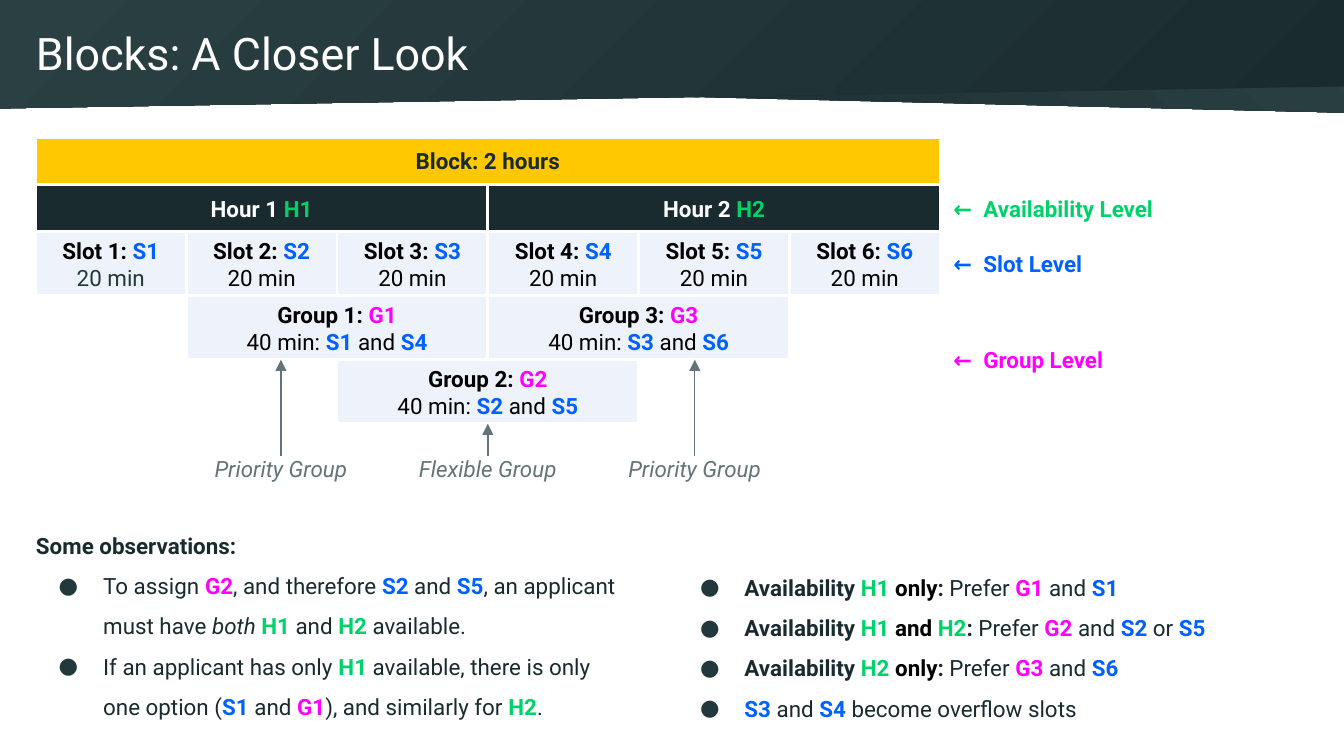
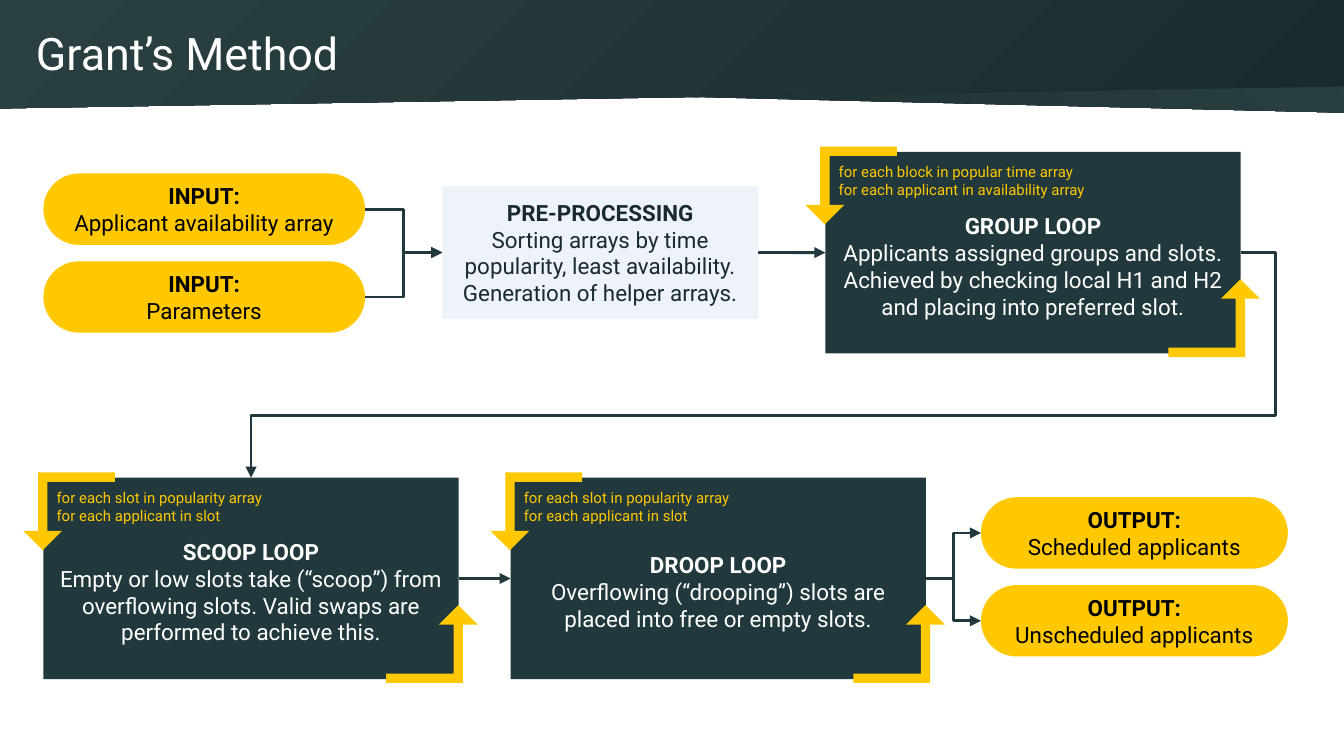
from lxml import etree
from pptx import Presentation
from pptx.dml.color import RGBColor
from pptx.enum.shapes import MSO_CONNECTOR, MSO_SHAPE
from pptx.enum.text import MSO_ANCHOR, MSO_AUTO_SIZE, PP_ALIGN
from pptx.oxml.ns import qn
from pptx.util import Cm, Pt

RECT, PILL = MSO_SHAPE.RECTANGLE, MSO_SHAPE.ROUNDED_RECTANGLE
BENT_ARROW, BAND = MSO_SHAPE.BENT_UP_ARROW, MSO_SHAPE.FLOWCHART_MANUAL_INPUT
STRAIGHT, ELBOW = MSO_CONNECTOR.STRAIGHT, MSO_CONNECTOR.ELBOW
LEFT, CENTER = PP_ALIGN.LEFT, PP_ALIGN.CENTER
TOP, MIDDLE = MSO_ANCHOR.TOP, MSO_ANCHOR.MIDDLE
SITE_TOP, SITE_LEFT, SITE_BOTTOM, SITE_RIGHT = range(4)

FONT = "Roboto"
WHITE = RGBColor(0xFF, 0xFF, 0xFF)
BLACK = RGBColor(0x00, 0x00, 0x00)
INK = RGBColor(0x19, 0x2B, 0x2E)
SLATE = RGBColor(0x21, 0x39, 0x3D)
SLATE_LIGHT = RGBColor(0x2B, 0x40, 0x43)
GREY = RGBColor(0x62, 0x74, 0x78)
PALE = RGBColor(0xEE, 0xF2, 0xFA)
YELLOW = RGBColor(0xFF, 0xC8, 0x00)
GREEN = RGBColor(0x00, 0xD2, 0x6A)
BLUE = RGBColor(0x00, 0x61, 0xFF)
PINK = RGBColor(0xFF, 0x00, 0xFF)

# Text is cut into runs at "|". A code such as H1 takes the colour of its
# level; a leading mark sets the format of any other run.
LEVEL_COLORS = {"H": GREEN, "S": BLUE, "G": PINK}
MARKS = {
    "*": {"bold": True},
    "/": {"italic": True},
    "+": {"bold": True, "color": BLACK},
    "~": {"color": SLATE},
}
PAD = 0.25


# ---- Text ----
def parse_run(piece):
    if len(piece) == 2 and piece[0] in LEVEL_COLORS and piece[1].isdigit():
        return piece, {"bold": True, "color": LEVEL_COLORS[piece[0]]}
    if piece[0] in MARKS:
        return piece[1:], MARKS[piece[0]]
    return piece, {}


def set_bullet(paragraph, bulleted):
    props = paragraph._p.get_or_add_pPr()
    props.set("marL", str(Cm(1.27) if bulleted else 0))
    props.set("indent", str(Cm(-0.84) if bulleted else 0))
    if not bulleted:
        etree.SubElement(props, qn("a:buNone"))
        return
    color = etree.SubElement(props, qn("a:buClr"))
    etree.SubElement(color, qn("a:srgbClr"), val=str(SLATE))
    etree.SubElement(props, qn("a:buFont"), typeface=FONT)
    etree.SubElement(props, qn("a:buChar"), char="●")


def write_text(shape, lines, color=BLACK, size=12, bold=False, italic=False,
               align=CENTER, anchor=MIDDLE, pad_y=PAD, pad_top=None,
               spacing=None):
    frame = shape.text_frame
    frame.word_wrap = True
    frame.auto_size = MSO_AUTO_SIZE.NONE
    frame.vertical_anchor = anchor
    frame.margin_left = frame.margin_right = Cm(PAD)
    frame.margin_top = Cm(pad_y if pad_top is None else pad_top)
    frame.margin_bottom = Cm(pad_y)
    for number, line in enumerate(lines):
        paragraph = frame.add_paragraph() if number else frame.paragraphs[0]
        paragraph.alignment = align
        paragraph.space_before = Pt(0)
        if spacing:
            paragraph.line_spacing = spacing
        for piece in line.split("|"):
            text, style = parse_run(piece)
            run = paragraph.add_run()
            run.text = text
            font = run.font
            font.name, font.size = FONT, Pt(size)
            font.bold = style.get("bold", bold)
            font.italic = style.get("italic", italic)
            font.color.rgb = style.get("color", color)


# ---- Elements; places are (left, top, width, height) in centimetres ----
def add_block(slide, place, fill, lines=(), kind=RECT, outline=None,
              adjust=(), **text_format):
    block = slide.shapes.add_shape(kind, *map(Cm, place))
    block.shadow.inherit = False
    block.fill.solid()
    block.fill.fore_color.rgb = fill
    if outline:
        block.line.color.rgb = outline
        block.line.width = Pt(1.5)
    else:
        block.line.fill.background()
    for index, value in enumerate(adjust):
        block.adjustments[index] = value
    if lines:
        write_text(block, lines, **text_format)
    return block


def add_label(slide, place, lines, **text_format):
    label = slide.shapes.add_textbox(*map(Cm, place))
    write_text(label, lines, **text_format)
    return label


def add_arrow(slide, begin, end, kind=STRAIGHT, color=SLATE, width=1.5):
    """Each end is (shape, site), or a pair of centimetres for a free end."""
    arrow = slide.shapes.add_connector(kind, 0, 0, 0, 0)
    arrow.begin_connect(*begin)
    if isinstance(end[0], (int, float)):
        arrow.end_x, arrow.end_y = map(Cm, end)
    else:
        arrow.end_connect(*end)
    arrow.line.color.rgb = color
    arrow.line.width = Pt(width)
    props = arrow._element.spPr
    etree.SubElement(props.find(qn("a:ln")), qn("a:tailEnd"), type="triangle")
    etree.SubElement(props, qn("a:effectLst"))
    return arrow


def route_elbow(arrow, *bends):
    """Give the arrow one more corner and place its bends."""
    geometry = arrow._element.spPr.find(qn("a:prstGeom"))
    geometry.set("prst", "bentConnector4")
    guides = geometry.find(qn("a:avLst"))
    if guides is None:
        guides = etree.SubElement(geometry, qn("a:avLst"))
    for number, bend in enumerate(bends, 1):
        etree.SubElement(guides, qn("a:gd"), name=f"adj{number}",
                         fmla=f"val {round(bend * 100000)}")


def place_text(placeholder, place, lines, **text_format):
    (placeholder.left, placeholder.top,
     placeholder.width, placeholder.height) = map(Cm, place)
    write_text(placeholder, lines, align=LEFT, **text_format)


# ---- Shared look ----
def add_master_band(prs, slide):
    """Draw the two header bands, then hand them to the slide master."""
    tree = prs.slide_master.shapes._spTree
    bands = [((7.75, 0, 17.68, 2.13), True),
             ((-0.03, -0.03, 25.45, 2.08), False)]
    for number, (place, flipped) in enumerate(bands):
        band = add_block(slide, place, INK, kind=BAND)
        band.rotation = 180
        band.fill.gradient()
        band.fill.gradient_angle = 315
        for stop, color in zip(band.fill.gradient_stops, (INK, SLATE_LIGHT)):
            stop.color.rgb = color
        element = band._element
        if flipped:
            element.spPr.xfrm.set("flipH", "1")
        element.nvSpPr.cNvPr.set("id", str(101 + number))
        tree.insert(2 + number, element)


def add_titled_slide(prs, layout, title):
    slide = prs.slides.add_slide(prs.slide_layouts[layout])
    place_text(slide.shapes.title, (0.43, 0.2, 23.67, 1.6), [title],
               color=WHITE, size=24)
    return slide


# ---- Slide 1 ----
def add_schedule(slide):
    left, slot_width, bar_height, cell_height = 0.67, 2.85, 0.89, 1.21
    block_top = 2.6
    hour_top = block_top + bar_height
    slot_top = hour_top + bar_height
    group_top = slot_top + cell_height

    def add_cell(column, top, span, height, fill, lines, **text_format):
        place = (left + column * slot_width, top, span * slot_width, height)
        return add_block(slide, place, fill, lines, outline=WHITE,
                         **text_format)

    add_cell(0, block_top, 6, bar_height, YELLOW, ["*Block: 2 hours"],
             color=INK)
    for hour in (1, 2):
        add_cell(3 * (hour - 1), hour_top, 3, bar_height, INK,
                 [f"*Hour {hour} |H{hour}"], color=WHITE)
    for slot in range(1, 7):
        duration = "~20 min" if slot == 1 else "20 min"
        add_cell(slot - 1, slot_top, 1, cell_height, PALE,
                 [f"*Slot {slot}: |S{slot}", duration])
    groups = [
        add_cell(group, group_top + (group == 2) * cell_height, 2,
                 cell_height, PALE,
                 [f"*Group {group}: |G{group}",
                  f"40 min: |S{group}| and |S{group + 3}"])
        for group in (1, 2, 3)]

    # Names of the levels
    for name, color, top, height in (
            ("Availability", GREEN, hour_top, bar_height),
            ("Slot", BLUE, slot_top, cell_height),
            ("Group", PINK, group_top, 2 * cell_height)):
        add_label(slide, (left + 6 * slot_width, top, 7.01, height),
                  [f"←  {name} Level"], color=color, bold=True, align=LEFT,
                  pad_y=0)

    # Kinds of group
    middle = left + 3 * slot_width
    for name, center, width, target in (
            ("Priority", middle - 3.91, 3.58, None),
            ("Flexible", middle, 3.35, groups[1]),
            ("Priority", middle + 3.91, 3.58, None)):
        label = add_label(slide, (center - width / 2, 8.61, width, 0.74),
                          [f"{name} Group"], color=GREY, italic=True,
                          anchor=TOP, pad_y=0)
        end = ((target, SITE_BOTTOM) if target
               else (center, group_top + cell_height))
        add_arrow(slide, (label, SITE_TOP), end, color=GREY, width=0.75)


def add_observations(slide):
    columns = [
        ((0.43, 9.55, 11.61, 4.27), [
            "*Some observations:",
            "To assign |G2|, and therefore |S2| and |S5|, an applicant "
            "must have |/both |H1| and |H2| available.",
            "If an applicant has only |H1| available, there is only one "
            "option (|S1| and |G1|), and similarly for |H2|."]),
        ((12.55, 10.34, 11.07, 3.51), [
            "*Availability |H1|+ only|*: |Prefer |G1| and |S1",
            "*Availability |H1|+ and |H2|*:| Prefer |G2| and |S2| or |S5",
            "*Availability |H2|+ only|*:| Prefer |G3| and |S6",
            "S3| and |S4| become overflow slots"])]
    for index, (place, lines) in enumerate(columns, 1):
        body = slide.placeholders[index]
        place_text(body, place, lines, color=INK, anchor=TOP, spacing=1.5)
        for line, paragraph in zip(lines, body.text_frame.paragraphs):
            set_bullet(paragraph, line != "*Some observations:")


# ---- Slide 2 ----
def add_pills(slide, left, top, width, heading, names):
    return [add_block(slide, (left, top + row * 1.66, width, 1.35), YELLOW,
                      [f"*{heading}:", name], kind=PILL, adjust=[0.5])
            for row, name in enumerate(names)]


def add_loop(slide, left, top, name, text, conditions):
    box = add_block(slide, (left, top, 7.85, 3.81), SLATE,
                    [f"*{name} LOOP", text], color=WHITE, pad_top=0.75)
    for dx, dy, turn in ((6.48, 2.41, 0), (-0.38, -0.1, 180)):
        bend = add_block(slide, (left + dx, top + dy, 1.73, 1.47), YELLOW,
                         kind=BENT_ARROW, adjust=(0.121, 0.25, 0.25))
        bend.rotation = turn
    add_label(slide, (left, top - 0.04, 7.85, 1.35),
              [f"for each {condition}" for condition in conditions],
              color=YELLOW, size=8, align=LEFT, anchor=TOP)
    return box


def add_method(slide):
    inputs = add_pills(slide, 0.82, 3.28, 6.08, "INPUT",
                       ["Applicant availability array", "Parameters"])
    outputs = add_pills(slide, 18.54, 9.4, 5.8, "OUTPUT",
                        ["Scheduled applicants", "Unscheduled applicants"])
    preparation = add_block(
        slide, (8.36, 3.52, 5.97, 2.51), PALE,
        ["*PRE-PROCESSING",
         "Sorting arrays by time popularity, least availability.",
         "Generation of helper arrays."], color=INK)
    group = add_loop(
        slide, 15.6, 2.87, "GROUP",
        "Applicants assigned groups and slots. Achieved by checking local "
        "H1 and H2 and placing into preferred slot.",
        ["block in popular time array", "applicant in availability array"])
    slot_conditions = ["slot in popularity array", "applicant in slot"]
    scoop = add_loop(
        slide, 0.82, 9.03, "SCOOP",
        "Empty or low slots take (“scoop”) from overflowing slots. Valid "
        "swaps are performed to achieve this.", slot_conditions)
    droop = add_loop(
        slide, 9.65, 9.03, "DROOP",
        "Overflowing (“drooping”) slots are placed into free or empty "
        "slots.", slot_conditions)

    # Flow
    flow = [(source, preparation, ELBOW) for source in inputs]
    flow += [(preparation, group, STRAIGHT), (scoop, droop, STRAIGHT)]
    flow += [(droop, result, ELBOW) for result in outputs]
    for source, target, kind in flow:
        add_arrow(slide, (source, SITE_RIGHT), (target, SITE_LEFT), kind)
    return_path = add_arrow(slide, (group, SITE_RIGHT), (scoop, SITE_TOP),
                            ELBOW)
    route_elbow(return_path, -0.035, 0.724)


def main():
    prs = Presentation()
    prs.slide_width, prs.slide_height = Cm(25.4), Cm(14.29)
    blocks = add_titled_slide(prs, 3, "Blocks: A Closer Look")
    add_master_band(prs, blocks)
    add_schedule(blocks)
    add_observations(blocks)
    add_method(add_titled_slide(prs, 5, "Grant’s Method"))
    prs.save("out.pptx")


if __name__ == "__main__":
    main()
